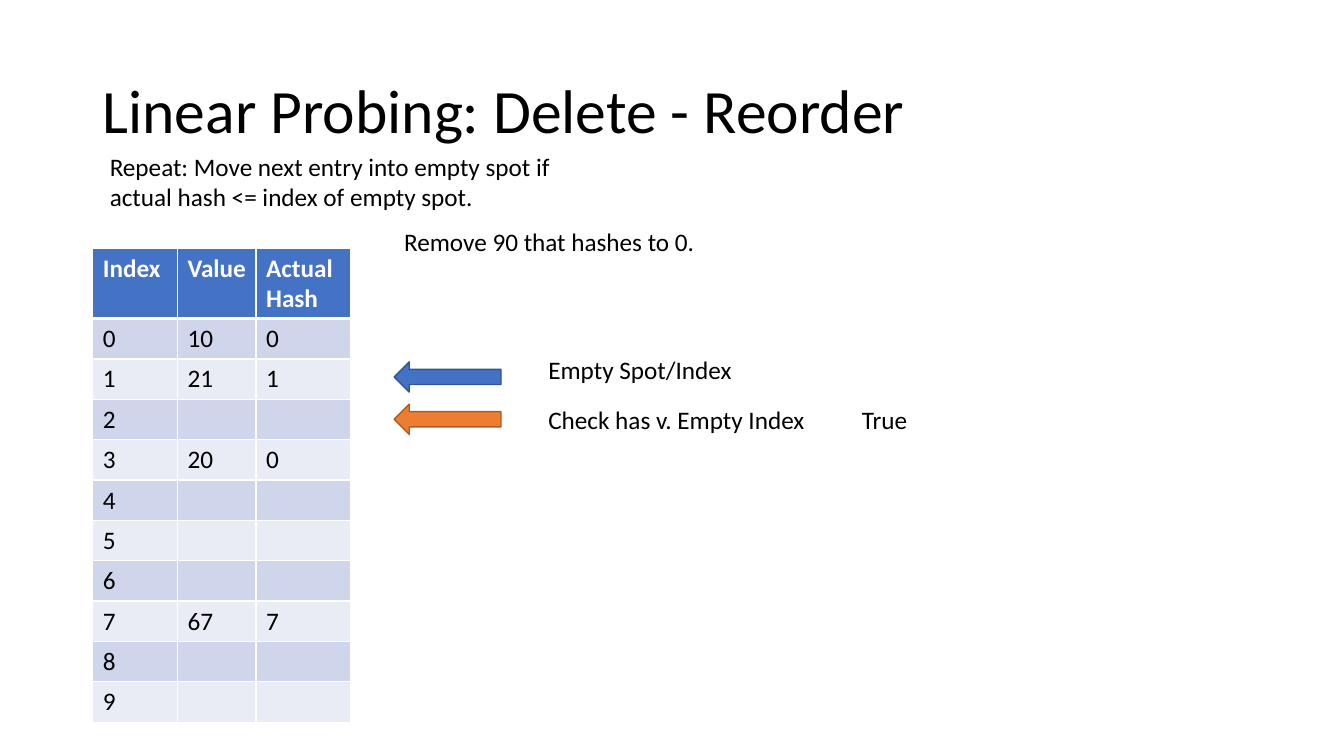
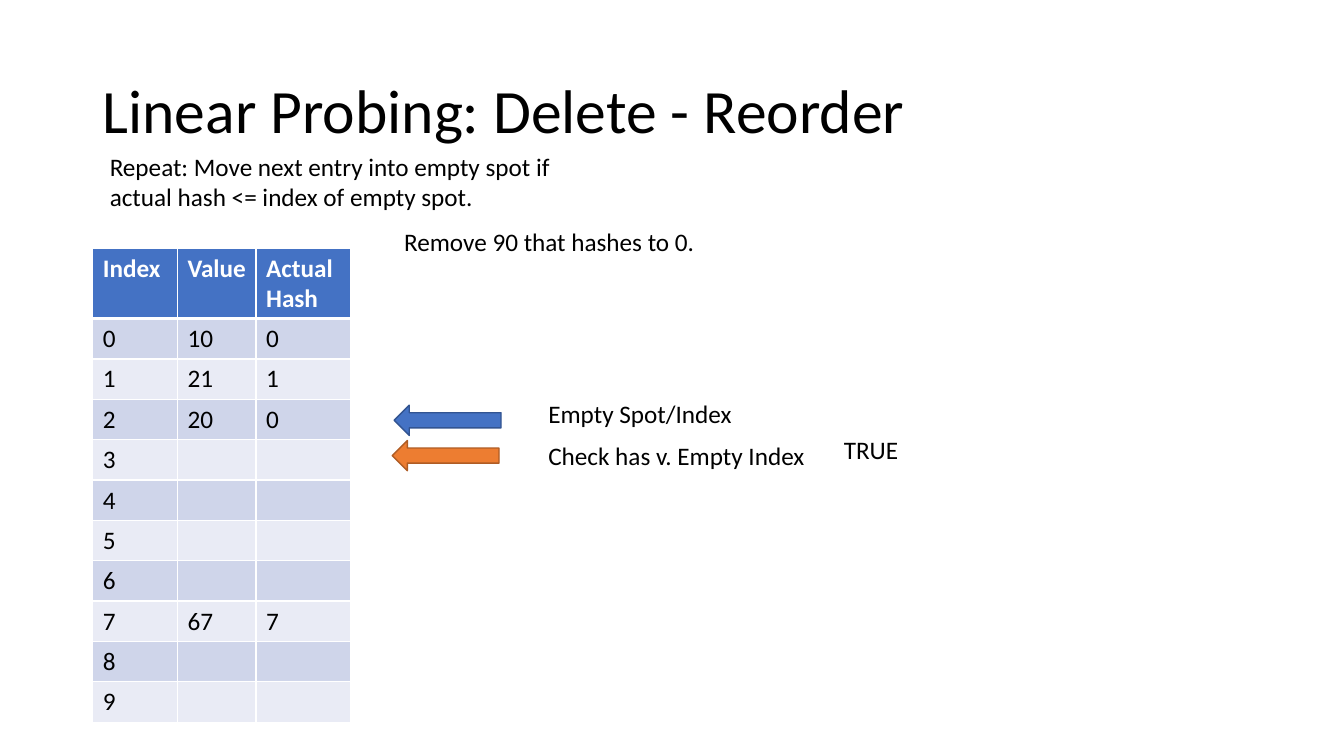
from lxml import etree
from pptx import Presentation
from pptx.dml.color import RGBColor
from pptx.enum import shapes, text
from pptx.oxml import ns
from pptx.util import Inches, Pt

COLORS = {
    "text": "000000", "white": "FFFFFF",
    "blue": "4472C4", "blue_line": "325491",
    "orange": "ED7D31", "orange_line": "AF5C24",
    "band_dark": "CFD5EA", "band_light": "E9EBF5",
}
FONT = "Calibri"
TITLE = "Linear Probing: Delete - Reorder"
RULE = "Repeat: Move next entry into empty spot if actual hash <= index of empty spot."
TASK = "Remove 90 that hashes to 0."
HEADINGS = ["Index", "Value", "Actual Hash"]
COLUMNS = [0.84, 0.78, 0.94]
HEADER_HEIGHT, ROW_HEIGHT, SLOTS = 0.7, 0.4, 10
ARROW_SIZE = (1.06, 0.3)
BODY = {"size": Pt(18), "name": FONT, "bold": False}

STEPS = [
    {
        "entries": {0: (10, 0), 1: (21, 1), 3: (20, 0), 7: (67, 7)},
        "arrows": [(3.91, 3.59, "blue"), (3.91, 4.01, "orange")],
        "labels": [
            ("Empty Spot/Index", (5.34, 3.47, 2.24, 0.4)),
            ("Check has v. Empty Index", (5.34, 3.96, 2.93, 0.4)),
            ("True", (8.45, 3.96, 0.66, 0.4)),
        ],
    },
    {
        "entries": {0: (10, 0), 1: (21, 1), 2: (20, 0), 7: (67, 7)},
        "arrows": [(3.91, 4.02, "blue"), (3.89, 4.37, "orange")],
        "labels": [
            ("Empty Spot/Index", (5.34, 3.9, 2.24, 0.4)),
            ("Check has v. Empty Index", (5.34, 4.32, 2.93, 0.4)),
            ("TRUE", (8.27, 4.26, 0.75, 0.4)),
        ],
    },
]


def rgb(name):
    """Return the named colour."""
    return RGBColor.from_string(COLORS[name])


def write(tf, words, color="text", **changes):
    """Write one formatted paragraph into a text frame and return it."""
    p = tf.paragraphs[0]
    r = p.add_run()
    r.text = words
    for key, value in {**BODY, **changes}.items():
        setattr(r.font, key, value)
    r.font.color.rgb = rgb(color)
    return p


def add_label(slide, words, box, **changes):
    """Add a wrapped text box and return its shape."""
    sp = slide.shapes.add_textbox(*map(Inches, box))
    tf = sp.text_frame
    for key, value in {"word_wrap": True, "margin_right": 0}.items():
        setattr(tf, key, value)
    write(tf, words, **changes)
    return sp


def add_title(slide, box):
    """Add the slide title, centred vertically in its box."""
    tf = add_label(slide, TITLE, box, size=Pt(44)).text_frame
    tf.vertical_anchor = text.MSO_ANCHOR.MIDDLE
    tf.paragraphs[0].line_spacing = 0.9


def add_borders(cell, bottom):
    """Give a cell white borders with the given bottom width in points."""
    tc_pr = cell._tc.get_or_add_tcPr()
    for side, width in {"L": 1, "R": 1, "T": 1, "B": bottom}.items():
        ln = etree.SubElement(tc_pr, ns.qn(f"a:ln{side}"), w=str(Pt(width)))
        fill = etree.SubElement(ln, ns.qn("a:solidFill"))
        etree.SubElement(fill, ns.qn("a:srgbClr"), val=COLORS["white"])


def add_hash_table(slide, left, top, entries):
    """Add the hash table with its slots filled from the entries."""
    rows = [HEADINGS] + [[i, *entries.get(i, ("", ""))] for i in range(SLOTS)]
    heights = [HEADER_HEIGHT] + [ROW_HEIGHT] * SLOTS
    size = (sum(COLUMNS), sum(heights))
    table = slide.shapes.add_table(
        len(rows), len(COLUMNS), *map(Inches, (left, top, *size))).table
    for column, width in zip(table.columns, COLUMNS):
        column.width = Inches(width)
    for i, (row, height, values) in enumerate(zip(table.rows, heights, rows)):
        row.height = Inches(height)
        header = i == 0
        band = "blue" if header else ("band_light", "band_dark")[i % 2]
        for cell, value in zip(row.cells, values):
            add_borders(cell, 3 if header else 1)
            cell.fill.solid()
            cell.fill.fore_color.rgb = rgb(band)
            write(cell.text_frame, str(value),
                  "white" if header else "text", bold=header)


def add_arrow(slide, left, top, color):
    """Add a left-pointing arrow."""
    sp = slide.shapes.add_shape(
        shapes.MSO_SHAPE.LEFT_ARROW, *map(Inches, (left, top, *ARROW_SIZE)))
    sp.shadow.inherit = False
    sp.fill.solid()
    sp.fill.fore_color.rgb = rgb(color)
    sp.line.color.rgb = rgb(f"{color}_line")
    sp.line.width = Pt(1)


def add_step(prs, entries, arrows, labels):
    """Add one slide showing a step of the deletion."""
    slide = prs.slides.add_slide(prs.slide_layouts[6])
    add_title(slide, (0.92, 0.4, 11.5, 1.45))
    add_label(slide, RULE, (0.99, 1.45, 4.62, 0.71))
    add_hash_table(slide, 0.92, 2.46, entries)
    add_label(slide, TASK, (3.91, 2.2, 3.11, 0.71))
    for arrow in arrows:
        add_arrow(slide, *arrow)
    for words, box in labels:
        add_label(slide, words, box)


def main():
    """Build and save the presentation."""
    prs = Presentation()
    prs.slide_width, prs.slide_height = Inches(13.33), Inches(7.5)
    for step in STEPS:
        add_step(prs, **step)
    prs.save("out.pptx")


if __name__ == "__main__":
    main()
